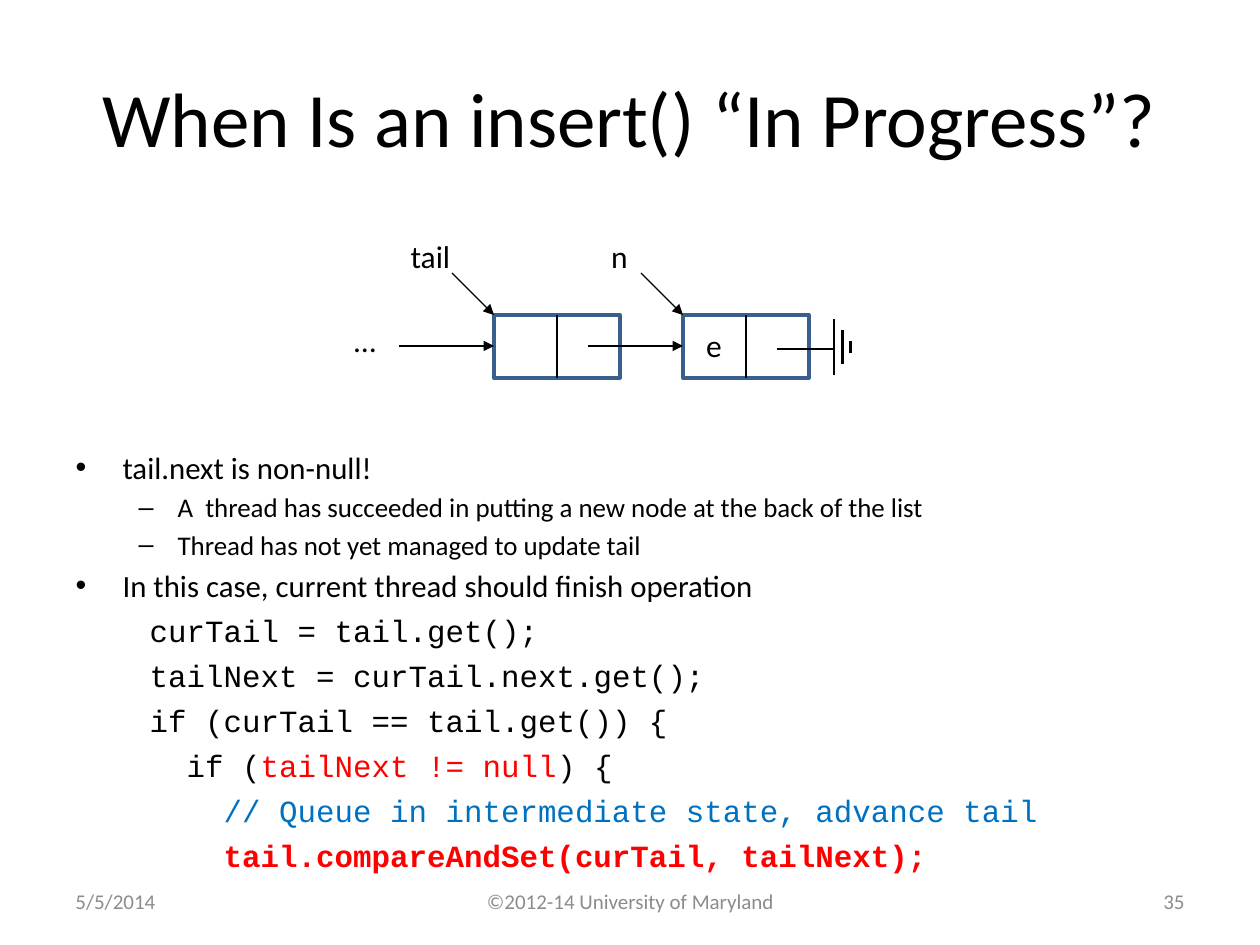
import dataclasses
import typing

import lxml.etree
import pptx
import pptx.dml.color
import pptx.enum.dml
import pptx.enum.shapes
import pptx.enum.text
import pptx.oxml.ns
import pptx.util

PIXEL = 914400 / 126
COLORS = {"ink": "000000", "red": "FF0000", "comment": "0070C0",
          "footer": "8C8C8C", "node": "3A5F8C"}
ALIGN = pptx.enum.text.PP_ALIGN
ANCHOR = pptx.enum.text.MSO_ANCHOR
NODE_TOP, NODE_WIDTH, NODE_HEIGHT = 315, 126, 63
MIDDLE = NODE_TOP + NODE_HEIGHT // 2


@dataclasses.dataclass
class Span:
    text: str
    color: str = "ink"
    bold: bool = False


@dataclasses.dataclass
class Line:
    spans: list[Span]
    size: float
    margin: int
    indent: int = 0
    level: int = 0
    code: bool = False


@dataclasses.dataclass
class Label:
    text: str
    box: tuple[int, int, int, int]
    size: int = 18
    color: str = "ink"
    align: typing.Any = ALIGN.CENTER
    anchor: typing.Any = ANCHOR.TOP
    wrap: bool = False


def px(length: float) -> int:
    return round(length * PIXEL)


def rgb(name: str) -> pptx.dml.color.RGBColor:
    return pptx.dml.color.RGBColor.from_string(COLORS[name])


def apply(target: typing.Any, values: dict[str, typing.Any]) -> None:
    for name, value in values.items():
        setattr(target, name, value)


def place(shape: typing.Any, box: tuple[int, int, int, int]) -> None:
    apply(shape, dict(zip(("left", "top", "width", "height"), map(px, box))))


def add_run(paragraph: typing.Any, span: Span, size: float, font: str = "Calibri") -> None:
    run = paragraph.add_run()
    run.text = span.text
    apply(run.font, {"name": font, "size": pptx.util.Pt(size), "bold": span.bold})
    run.font.color.rgb = rgb(span.color)


def add_label(shapes: typing.Any, label: Label) -> None:
    frame = shapes.add_textbox(*map(px, label.box)).text_frame
    apply(frame, {"word_wrap": label.wrap, "vertical_anchor": label.anchor})
    frame.paragraphs[0].alignment = label.align
    add_run(frame.paragraphs[0], Span(label.text, label.color), label.size)


def add_line(shapes: typing.Any, ends: tuple[float, float, float, float],
             width: float = 0.75, arrow: bool = False) -> None:
    line = shapes.add_connector(pptx.enum.shapes.MSO_CONNECTOR.STRAIGHT, *map(px, ends))
    line.line.width = pptx.util.Pt(width)
    line.line.color.rgb = rgb("ink")
    qn = pptx.oxml.ns.qn
    if arrow:
        lxml.etree.SubElement(line.line._get_or_add_ln(), qn("a:tailEnd"), type="triangle")
    lxml.etree.SubElement(line._element.spPr, qn("a:effectLst"))


def add_node(shapes: typing.Any, left: int, value: str = "") -> None:
    node = shapes.add_group_shape().shapes
    cell = node.add_shape(pptx.enum.shapes.MSO_SHAPE.RECTANGLE,
                          *map(px, (left, NODE_TOP, NODE_WIDTH, NODE_HEIGHT)))
    cell.shadow.inherit = False
    cell.fill.background()
    cell.line.width = pptx.util.Pt(2)
    cell.line.color.rgb = rgb("node")
    divider = left + NODE_WIDTH // 2
    add_line(node, (divider, NODE_TOP, divider, NODE_TOP + NODE_HEIGHT))
    if value:
        add_label(node, Label(value, (left + 10, NODE_TOP + 5, 42, 50)))


def write_line(paragraph: typing.Any, line: Line) -> None:
    paragraph.level = line.level
    properties = paragraph._p.get_or_add_pPr()
    properties.set("marL", str(px(line.margin)))
    properties.set("indent", str(px(line.indent)))
    if line.code:
        paragraph.space_before = pptx.util.Pt(4.6)
        lxml.etree.SubElement(properties, pptx.oxml.ns.qn("a:buNone"))
    for span in line.spans:
        add_run(paragraph, span, line.size, "Courier New" if line.code else "Calibri")


def point(text: str) -> Line:
    return Line([Span(text)], 17.6, 47, -47)


def subpoint(text: str) -> Line:
    return Line([Span(text)], 15.4, 102, -39, level=1)


def code(depth: int, *spans: Span) -> Line:
    return Line(list(spans), 17.6, 74 + 37 * depth, code=True)


presentation = pptx.Presentation()
presentation.slide_width, presentation.slide_height = px(1260), px(945)
slide = presentation.slides.add_slide(presentation.slide_layouts[1])
shapes = slide.shapes

# Title
title = shapes.title
place(title, (63, 38, 1134, 157))
add_run(title.text_frame.paragraphs[0], Span("When Is an insert() “In Progress”?"), 44)

# Explanation and code
explanation = [
    point("tail.next is non-null!"),
    subpoint("A  thread has succeeded in putting a new node at the back of the list"),
    subpoint("Thread has not yet managed to update tail"),
    point("In this case, current thread should finish operation"),
    code(0, Span("curTail = tail.get();")),
    code(0, Span("tailNext = curTail.next.get();")),
    code(0, Span("if (curTail == tail.get()) {")),
    code(1, Span("if ("), Span("tailNext != null", "red"), Span(") {")),
    code(2, Span("// Queue in intermediate state, advance tail", "comment")),
    code(2, Span("tail.compareAndSet(curTail, tailNext);", "red", True)),
]
body = slide.placeholders[1]
place(body, (63, 442, 1134, 402))
body.text_frame.auto_size = pptx.enum.text.MSO_AUTO_SIZE.NONE
for index, line in enumerate(explanation):
    frame = body.text_frame
    write_line(frame.add_paragraph() if index else frame.paragraphs[0], line)

# Footer
for text, left, width, align in (
        ("5/5/2014", 63, 294, ALIGN.LEFT),
        ("©2012-14 University of Maryland", 431, 399, ALIGN.CENTER),
        ("35", 903, 294, ALIGN.RIGHT)):
    add_label(shapes, Label(text, (left, 876, width, 50), 12, "footer",
                            align, ANCHOR.MIDDLE, True))

# Linked list nodes, each with the pointer and link that reach it
tail_left, new_left = 494, 683
for left, value, link_start in ((tail_left, "", 399), (new_left, "e", 588)):
    add_node(shapes, left, value)
    add_line(shapes, (left - 42, NODE_TOP - 42, left, NODE_TOP), arrow=True)
    add_line(shapes, (link_start, MIDDLE, left, MIDDLE), arrow=True)
for label in (Label("tail", (398, 231, 65, 50)), Label("n", (598, 231, 43, 50)),
              Label("…", (341, 315, 48, 50))):
    add_label(shapes, label)

# Null link
null_link = shapes.add_group_shape().shapes
null_left, null_middle = 834, 347
for step, half_height in enumerate((28, 17, 6)):
    bar = null_left + 8.25 * step
    add_line(null_link, (bar, null_middle + half_height, bar, null_middle - half_height), 1.5)
add_line(null_link, (777, null_middle + 2, null_left, null_middle + 2))

presentation.save("out.pptx")
